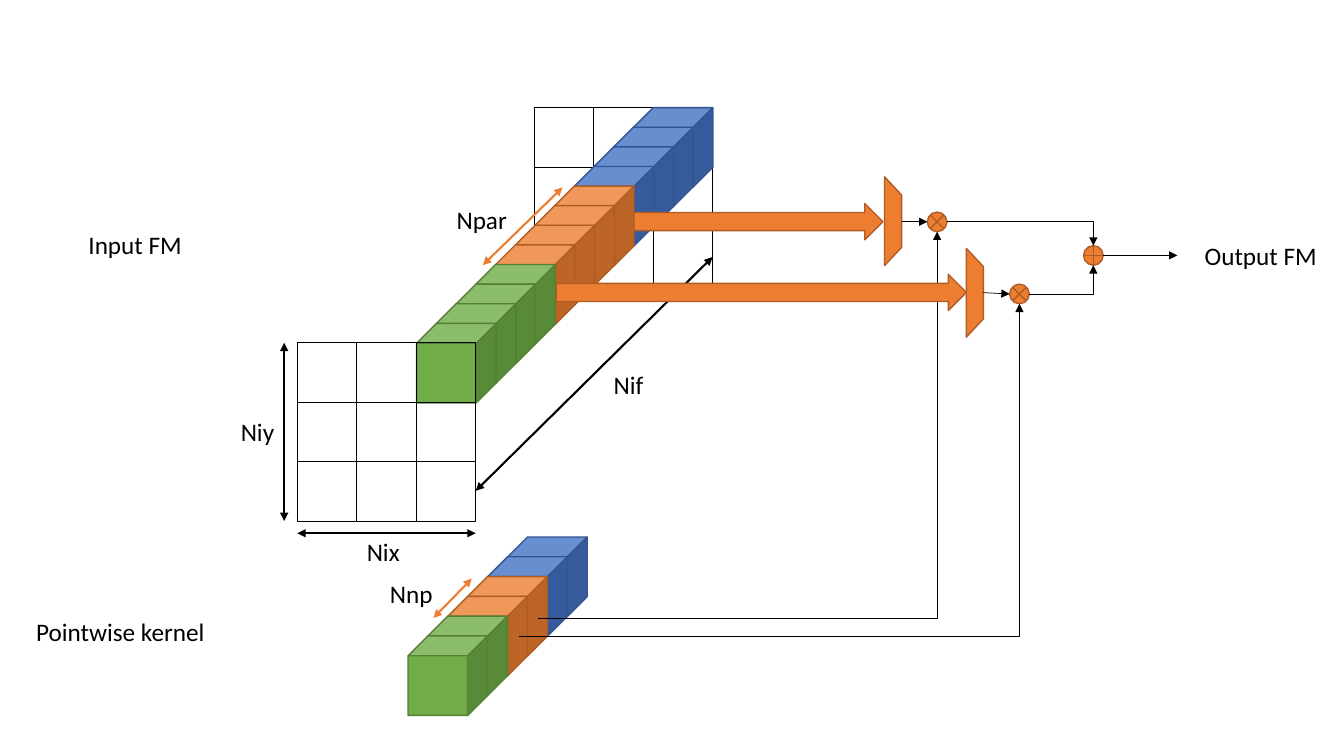
from lxml.etree import SubElement
from pptx import Presentation
from pptx.dml.color import RGBColor
from pptx.enum.shapes import MSO_CONNECTOR, MSO_SHAPE
from pptx.enum.text import MSO_ANCHOR, PP_ALIGN
from pptx.oxml.ns import qn
from pptx.util import Pt

COLORS = {
    "black": "000000",
    "blue": "4472C4", "blue_line": "325491",
    "orange": "ED7D31", "orange_line": "AF5C24",
    "green": "70AD47", "green_line": "538035",
}
CELL = 42.5
CUBE = 56.8

prs = Presentation()
prs.slide_width, prs.slide_height = Pt(960), Pt(540)
s = prs.slides.add_slide(prs.slide_layouts[6])


def add_block(kind, x, y, w, h, color=None):
    """Add a preset shape; without a color it is an unfilled black outline."""
    sp = s.shapes.add_shape(kind, Pt(x), Pt(y), Pt(w), Pt(h))
    sp.shadow.inherit = False
    if color:
        sp.fill.solid()
        sp.fill.fore_color.rgb = RGBColor.from_string(COLORS[color])
    else:
        sp.fill.background()
    line_color = f"{color}_line" if color else "black"
    sp.line.color.rgb = RGBColor.from_string(COLORS[line_color])
    sp.line.width = Pt(1 if color else 0.75)
    return sp


def add_arrow(start, end, width=0.5, color="black", double=False, bent=False):
    """Add an arrow line; a bent one runs sideways first, then vertically."""
    kind = MSO_CONNECTOR.ELBOW if bent else MSO_CONNECTOR.STRAIGHT
    c = s.shapes.add_connector(kind, *map(Pt, start + end))
    c.line.color.rgb = RGBColor.from_string(COLORS[color])
    c.line.width = Pt(width)
    sp_pr = c._element.spPr
    if bent:
        sp_pr.find(qn("a:prstGeom")).set("prst", "bentConnector2")
    ln = sp_pr.find(qn("a:ln"))
    for tag in ("a:headEnd", "a:tailEnd") if double else ("a:tailEnd",):
        SubElement(ln, qn(tag)).set("type", "triangle")
    SubElement(sp_pr, qn("a:effectLst"))


# Input feature map: back grid, row of cubes, front grid; then the kernel cubes
grids = {"back": (381.6, 77), "front": (212.4, 244.8)}
cube_rows = {
    "input": (452.4, 76.9, 14.07, 14.01, 4),
    "kernel": (362.6, 383.6, 14.22, 14.13, 2),
}
for part in ("back", "input", "front", "kernel"):
    if part in grids:
        left, top = grids[part]
        for i in range(9):
            row, col = divmod(i, 3)
            add_block(MSO_SHAPE.RECTANGLE, left + col * CELL, top + row * CELL, CELL, CELL)
    else:
        left, top, dx, dy, per_color = cube_rows[part]
        for i in range(3 * per_color):
            color = ("blue", "orange", "green")[i // per_color]
            add_block(MSO_SHAPE.CUBE, left - i * dx, top + i * dy, CUBE, CUBE, color)

# Dimension arrows
for start, end, color in (
    ((339.8, 350.6), (509, 183.6), "black"),
    ((212.4, 380.9), (339.8, 380.9), "black"),
    ((203, 244.8), (203, 372.2), "black"),
    ((344.9, 189.4), (401.8, 133.9), "orange"),
    ((309.6, 441.4), (337, 413.3), "orange"),
):
    add_arrow(start, end, 1.5, color, double=True)

# Multiplexers, multipliers and adder
for x, y in ((606.2, 151.9), (664.6, 203)):
    mux = add_block(MSO_SHAPE.TRAPEZOID, x, y, 63.4, 12.2, "orange")
    mux.adjustments[0] = 1.064
    mux.rotation = 90
for kind, x, y in (
    (MSO_SHAPE.FLOWCHART_SUMMING_JUNCTION, 662.4, 151.5),
    (MSO_SHAPE.FLOWCHART_SUMMING_JUNCTION, 721.2, 203),
    (MSO_SHAPE.FLOWCHART_OR, 774, 175.5),
):
    add_block(kind, x, y, 14, 14, "orange")

# Signal wires
for start, end, bent in (
    ((644.4, 158.4), (662.4, 158.4), False),
    ((702, 209), (721.2, 210), False),
    ((735.2, 210), (781, 189.5), True),
    ((676.4, 158.4), (781, 175.5), True),
    ((370.8, 454.3), (728.2, 217), True),
    ((384.5, 441.4), (669.4, 165.5), True),
    ((788, 182.4), (841, 182.4), False),
):
    add_arrow(start, end, bent=bent)

# Wide data arrows
for x, y, w in ((452.9, 145.4, 177.8), (397.4, 196, 293)):
    add_block(MSO_SHAPE.RIGHT_ARROW, x, y, w, 25.9, "orange")

# Labels
for text, x, y, w, centered in (
    ("Nif", 431.3, 260, 42.5, False),
    ("Nix", 254.9, 379.4, 42.5, False),
    ("Niy", 164.9, 293.8, 42.5, False),
    ("Npar", 319, 142.6, 56.2, False),
    ("Nnp", 271.4, 409.7, 56.2, False),
    ("Input FM", 0, 160, 193, True),
    ("Pointwise kernel", 0, 436.3, 172, True),
    ("Output FM", 841, 168, 119, True),
):
    tf = s.shapes.add_textbox(Pt(x), Pt(y), Pt(w), Pt(29)).text_frame
    tf.word_wrap = True
    tf.vertical_anchor = MSO_ANCHOR.MIDDLE if centered else MSO_ANCHOR.TOP
    p = tf.paragraphs[0]
    p.text = text
    p.alignment = PP_ALIGN.CENTER if centered else PP_ALIGN.LEFT
    p.font.name, p.font.size = "Calibri", Pt(18)
    p.font.color.rgb = RGBColor.from_string(COLORS["black"])

prs.save("out.pptx")
